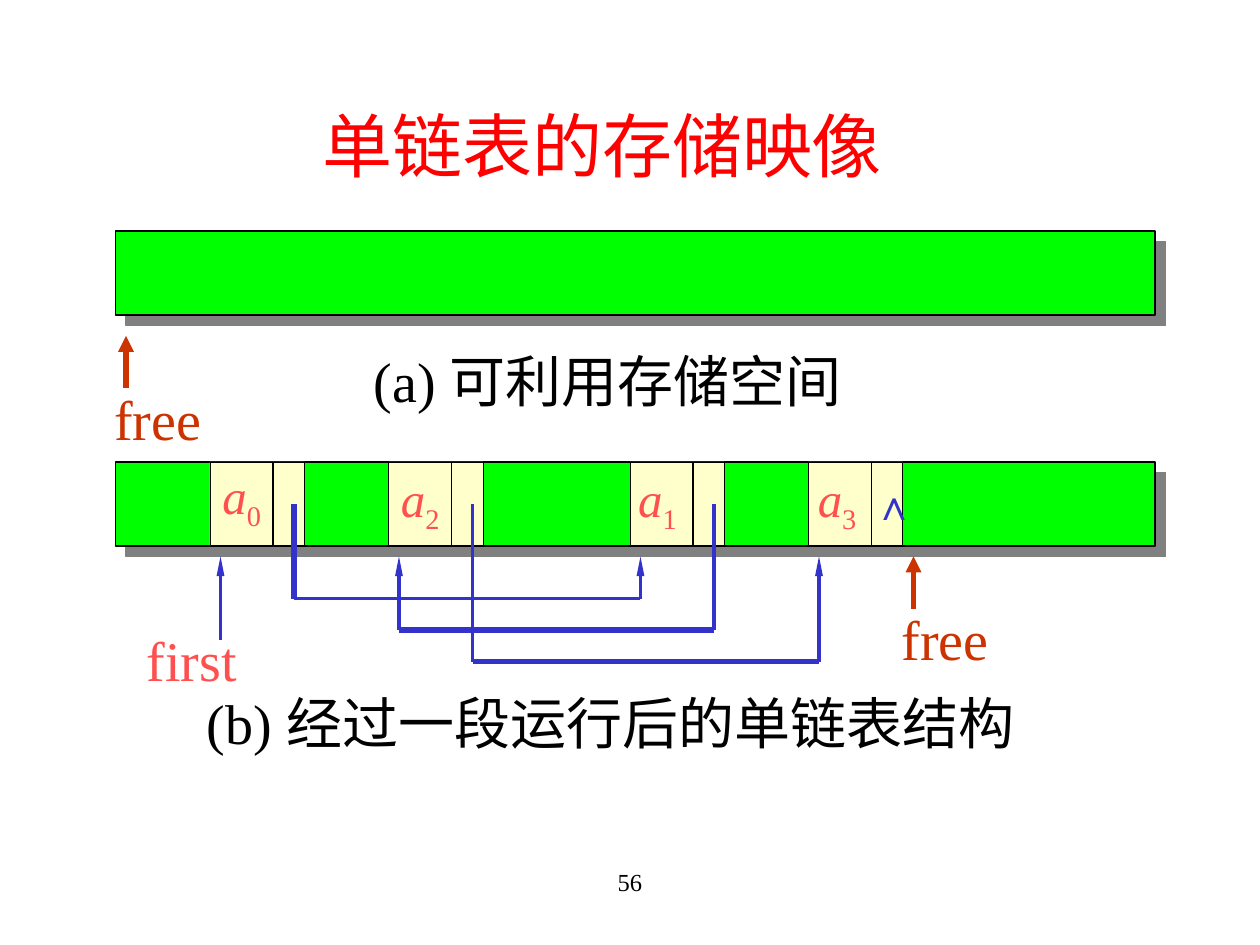
"""Builds a slide on how a singly linked list lies in storage."""
from dataclasses import dataclass

from lxml.etree import SubElement
from pptx import Presentation
from pptx.dml.color import RGBColor
from pptx.enum.shapes import MSO_CONNECTOR, MSO_SHAPE
from pptx.enum.text import PP_ALIGN
from pptx.oxml.ns import qn
from pptx.util import Inches, Pt


@dataclass(frozen=True)
class Theme:
    """Colours, fonts and type sizes of the slide."""
    title: str = "FF0000"
    ink: str = "000000"
    memory: str = "00FF00"
    node: str = "FFFFCC"
    shadow: str = "808080"
    free: str = "CC3300"
    label: str = "FF5050"
    link: str = "3333CC"
    latin: str = "Times New Roman"
    chinese: str = "Noto Sans CJK SC"
    title_size: int = 40
    body_size: int = 32
    node_size: int = 28
    null_size: int = 24
    number_size: int = 14


THEME = Theme()
COLUMNS, ROWS = 120, 90
WIDTH, HEIGHT = Inches(10), Inches(7.5)
BAR_LEFT, BAR_WIDTH, BAR_HEIGHT = 11, 99, 8
FREE_BAR_TOP, LIST_BAR_TOP = 22, 44
NODE_WIDTH, DATA_WIDTH = 9, 6
POINTER_TOP, ARROW_TIP = 48, 53


def place(column, row):
    """Turn a grid position or extent into slide lengths."""
    return round(WIDTH * column / COLUMNS), round(HEIGHT * row / ROWS)


def add_box(slide, left, top, width, color, line_width):
    """Add an outlined rectangle as high as a memory bar."""
    shape = slide.shapes.add_shape(
        MSO_SHAPE.RECTANGLE, *place(left, top), *place(width, BAR_HEIGHT))
    shape.shadow.inherit = False
    shape.fill.solid()
    shape.fill.fore_color.rgb = RGBColor.from_string(color)
    shape.line.color.rgb = RGBColor.from_string(THEME.ink)
    shape.line.width = Pt(line_width)
    return shape


def add_memory_bar(slide, top):
    """Add a memory bar with a hard shadow to the lower right."""
    bar = add_box(slide, BAR_LEFT, top, BAR_WIDTH, THEME.memory, 0.75)
    effects = bar._element.spPr.find(qn("a:effectLst"))
    shadow = SubElement(effects, qn("a:outerShdw"), dist=str(Pt(8.5)),
                        dir="2700000", algn="ctr", rotWithShape="0")
    SubElement(shadow, qn("a:srgbClr"), val=THEME.shadow)


def add_line(slide, start, end, color, width, head=None):
    """Add a straight line; head is an arrowhead's (width, length)."""
    line = slide.shapes.add_connector(
        MSO_CONNECTOR.STRAIGHT, *place(*start), *place(*end))
    line.line.color.rgb = RGBColor.from_string(color)
    line.line.width = Pt(width)
    if head:
        SubElement(line.line._get_or_add_ln(), qn("a:tailEnd"),
                   type="triangle", w=head[0], len=head[1])
    SubElement(line._element.spPr, qn("a:effectLst"))


def add_text(slide, box, text, size, color, wrap=True):
    """Add a one-paragraph text box and return its paragraph."""
    left, top, width, height = box
    shape = slide.shapes.add_textbox(*place(left, top), *place(width, height))
    shape.text_frame.word_wrap = wrap
    paragraph = shape.text_frame.paragraphs[0]
    paragraph.add_run().text = text
    paragraph.font.name = THEME.latin
    paragraph.font.size = Pt(size)
    paragraph.font.color.rgb = RGBColor.from_string(color)
    return paragraph


def add_node(slide, left, index, label_left, label_top):
    """Add a list node: a data cell, a pointer cell and its label."""
    add_box(slide, left, LIST_BAR_TOP, NODE_WIDTH, THEME.node, 0.5)
    divider = left + DATA_WIDTH
    add_line(slide, (divider, LIST_BAR_TOP),
             (divider, LIST_BAR_TOP + BAR_HEIGHT), THEME.ink, 0.75)
    paragraph = add_text(slide, (label_left, label_top, 6.4, 6.8), "a",
                         THEME.node_size, THEME.label)
    paragraph.runs[0].font.italic = True
    subscript = paragraph.add_run()
    subscript.text = str(index)
    subscript.font._element.set("baseline", "-25000")


def add_link(slide, source, target, row, drop_width, run_width):
    """Lead a pointer down, across and up to the next node."""
    add_line(slide, (source, POINTER_TOP), (source, row), THEME.link, drop_width)
    add_line(slide, (source, row), (target, row), THEME.link, run_width)
    add_link_arrow(slide, target, row)


def add_link_arrow(slide, column, row):
    """Add a slim arrow up to the list bar."""
    add_line(slide, (column, row), (column, ARROW_TIP), THEME.link, 2.25,
             ("sm", "lg"))


def add_free_pointer(slide, column, tip, label_left):
    """Add the arrow and label that mark the free space."""
    add_line(slide, (column, tip + 5), (column, tip), THEME.free, 3,
             ("med", "med"))
    add_text(slide, (label_left, tip + 4, 11.3, 7.5), "free",
             THEME.body_size, THEME.free, wrap=False)


def main():
    """Build and save the slide."""
    presentation = Presentation()
    presentation.slide_width, presentation.slide_height = WIDTH, HEIGHT
    slide = presentation.slides.add_slide(presentation.slide_layouts[6])

    number = add_text(slide, (41, 82, 38, 6), "56", THEME.number_size, THEME.ink)
    number.alignment = PP_ALIGN.CENTER
    title = add_text(slide, (29.2, 9.2, 56.3, 9.5), "单链表的存储映像",
                     THEME.title_size, THEME.title, wrap=False)
    title.alignment = PP_ALIGN.CENTER

    add_memory_bar(slide, FREE_BAR_TOP)
    add_free_pointer(slide, 12, 32, 9.7)
    add_text(slide, (34.4, 32.4, 51.8, 7.5), "(a) 可利用存储空间",
             THEME.body_size, THEME.ink)

    add_memory_bar(slide, LIST_BAR_TOP)
    for left, index, label_left, label_top in (
            (20, 0, 20, 43.7), (37, 2, 37, 44),
            (60, 1, 59.6, 44), (77, 3, 76.7, 44)):
        add_node(slide, left, index, label_left, label_top)
    add_text(slide, (82, 45, 4.8, 6), "∧", THEME.null_size, THEME.link,
             wrap=False)

    add_link_arrow(slide, 21, 61)
    add_text(slide, (12.8, 59, 11.9, 7.5), "first", THEME.body_size,
             THEME.label, wrap=False)
    for source, target, row, drop_width, run_width in (
            (28, 61, 57, 3, 2.25), (68, 38, 60, 2.25, 3),
            (45, 78, 63, 2.25, 3)):
        add_link(slide, source, target, row, drop_width, run_width)
    add_free_pointer(slide, 87, ARROW_TIP, 84.7)

    caption = add_text(slide, (18.5, 65, 85.4, 7.5), "(b) ",
                       THEME.body_size, THEME.ink)
    chinese = caption.add_run()
    chinese.text = "经过一段运行后的单链表结构"
    chinese.font.name = THEME.chinese

    presentation.save("out.pptx")


if __name__ == "__main__":
    main()
